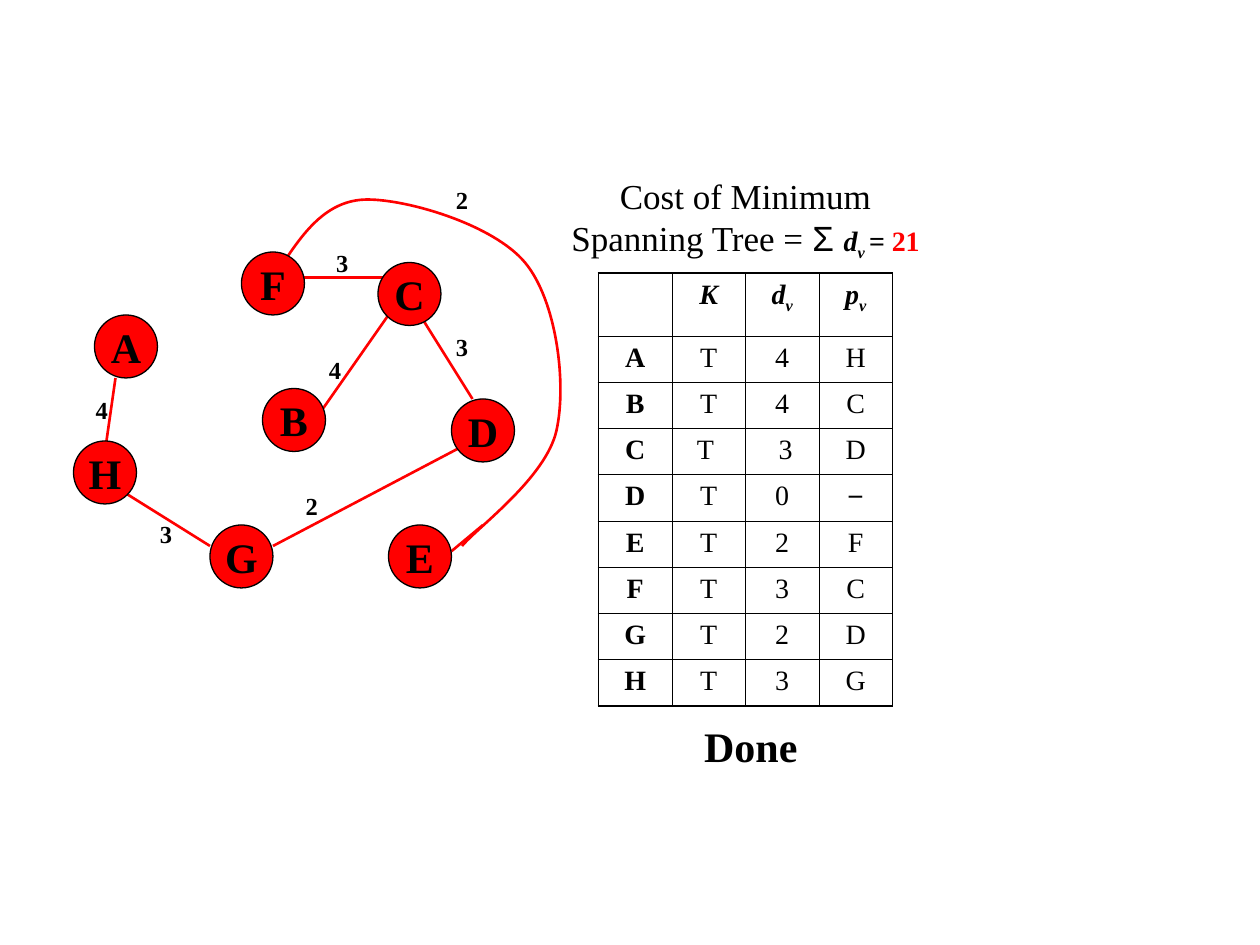
from dataclasses import dataclass
from itertools import product

from pptx import Presentation
from pptx.dml.color import RGBColor
from pptx.enum.shapes import MSO_CONNECTOR, MSO_SHAPE
from pptx.enum.text import MSO_ANCHOR, MSO_AUTO_SIZE, PP_ALIGN
from pptx.oxml.ns import qn
from pptx.util import Pt
from lxml.etree import SubElement

PX = 7620  # EMU in one px, at 120 px to the inch
COLORS = {"red": "FF0000", "black": "000000"}
SERIF, SANS = "Times New Roman", "Arial"
NODE_SIZE = 60
LABEL_WIDTH, LABEL_HEIGHT = 40, 41
COLUMN_WIDTH, HEADER_HEIGHT, ROW_HEIGHT = 70, 60, 44
INNER_BORDER, OUTER_BORDER = 0.45, 1.08


@dataclass(frozen=True)
class Span:
    text: str
    size: int
    bold: bool = False
    italic: bool = False
    subscript: bool = False
    font: str = SERIF
    color: str = "black"


@dataclass(frozen=True)
class Label:
    text: str
    left: int
    top: int


@dataclass(frozen=True)
class Edge:
    start: tuple[int, int]
    end: tuple[int, int]


NODES = [
    Label("A", 90, 300), Label("H", 70, 420), Label("B", 250, 370),
    Label("F", 230, 240), Label("E", 370, 500), Label("D", 430, 380),
    Label("C", 360, 250), Label("G", 200, 500),
]
EDGES = [
    Edge((300, 400), (370, 300)),  # B to C
    Edge((260, 520), (450, 420)),  # G to D
    Edge((100, 430), (110, 360)),  # H to A
    Edge((285, 264), (380, 264)),  # F to C
    Edge((400, 300), (450, 380)),  # C to D
    Edge((200, 520), (120, 470)),  # G to H
    Edge((460, 500), (430, 525)),  # end of the curve to E
]
WEIGHTS = [
    Label("4", 77, 370), Label("2", 277, 462), Label("3", 420, 310),
    Label("4", 299, 332), Label("3", 306, 230), Label("3", 138, 488),
    Label("2", 420, 170),
]
# Start point, then two control points and an end point for each segment
CURVE_F_TO_E = [
    (270, 250),
    (290, 220), (312, 190), (350, 190),
    (389, 190), (470, 214), (500, 250),
    (530, 286), (540, 365), (530, 410),
    (520, 455), (455, 502), (440, 520),
]
COST = [
    Span("Cost of Minimum Spanning Tree = ", 20),
    Span("Σ ", 20, font=SANS),
    Span("d", 16, bold=True, italic=True),
    Span("v ", 16, bold=True, italic=True, subscript=True),
    Span("= ", 16, bold=True, italic=True),
    Span("21", 16, bold=True, color="red"),
]
HEADERS = ["", "K", "dv", "pv"]
ROWS = [
    ["A", "T", "4", "H"],
    ["B", "T", "4", "C"],
    ["C", "T ", " 3", "D"],
    ["D", "T", "0", "−"],
    ["E", "T", "2", "F"],
    ["F", "T", "3", "C"],
    ["G", "T", "2", "D"],
    ["H", "T", "3", "G"],
]


def rgb(name: str) -> RGBColor:
    return RGBColor.from_string(COLORS[name])


def px(*lengths: int) -> list[int]:
    return [length * PX for length in lengths]


def write(text_frame, spans: list[Span], space_before: float) -> None:
    paragraph = text_frame.paragraphs[0]
    paragraph.alignment = PP_ALIGN.CENTER
    paragraph.space_before = Pt(space_before)
    for span in spans:
        run = paragraph.add_run()
        run.text = span.text
        font = run.font
        font.name, font.size = span.font, Pt(span.size)
        font.bold, font.italic = span.bold, span.italic
        font.color.rgb = rgb(span.color)
        if span.subscript:
            run._r.get_or_add_rPr().set("baseline", "-25000")


def add_text(slide, box: tuple[int, int, int, int], spans: list[Span], space_before: float) -> None:
    text_frame = slide.shapes.add_textbox(*px(*box)).text_frame
    text_frame.word_wrap = True
    text_frame.auto_size = MSO_AUTO_SIZE.SHAPE_TO_FIT_TEXT
    write(text_frame, spans, space_before)


def style_line(line) -> None:
    line.color.rgb = rgb("red")
    line.width = Pt(1.5)


def add_curve(slide, points: list[tuple[int, int]]) -> None:
    """Draw a freeform whose vertices are then grouped into cubic segments."""
    builder = slide.shapes.build_freeform(*points[0], scale=PX)
    builder.add_line_segments(points[1:], close=False)
    shape = builder.convert_to_shape()
    shape.shadow.inherit = False
    shape.fill.background()
    style_line(shape.line)
    outline = shape._element.find(".//" + qn("a:path"))
    vertices = outline.findall(qn("a:lnTo"))
    for first in range(0, len(vertices), 3):
        segment = SubElement(outline, qn("a:cubicBezTo"))
        for vertex in vertices[first:first + 3]:
            segment.append(vertex[0])
            outline.remove(vertex)


def add_edge(slide, edge: Edge) -> None:
    connector = slide.shapes.add_connector(MSO_CONNECTOR.STRAIGHT, *px(*edge.start, *edge.end))
    style_line(connector.line)
    SubElement(connector._element.spPr, qn("a:effectLst"))


def add_node(slide, node: Label) -> None:
    shape = slide.shapes.add_shape(MSO_SHAPE.OVAL, *px(node.left, node.top, NODE_SIZE, NODE_SIZE))
    shape.shadow.inherit = False
    shape.fill.solid()
    shape.fill.fore_color.rgb = rgb("red")
    shape.line.color.rgb = rgb("black")
    shape.line.width = Pt(0.75)
    shape.text_frame.word_wrap = False
    shape.text_frame.vertical_anchor = MSO_ANCHOR.MIDDLE
    write(shape.text_frame, [Span(node.text, 24, bold=True)], 6)


def set_borders(cell, outer_sides: dict[str, bool]) -> None:
    properties = cell._tc.get_or_add_tcPr()
    for side, outer in outer_sides.items():
        width = Pt(OUTER_BORDER if outer else INNER_BORDER)
        line = SubElement(properties, qn(f"a:ln{side}"), w=str(width))
        fill = SubElement(line, qn("a:solidFill"))
        SubElement(fill, qn("a:srgbClr"), val=COLORS["black"])


def cell_spans(text: str, row: int, column: int) -> list[Span]:
    if row == 0:
        return [Span(letter, 16, bold=True, italic=True, subscript=letter == "v") for letter in text]
    return [Span(text, 16, bold=column == 0, font=SANS if text == "−" else SERIF)]


def add_cost_table(slide, left: int, top: int) -> None:
    values = [HEADERS, *ROWS]
    row_count, column_count = len(values), len(HEADERS)
    width, height = column_count * COLUMN_WIDTH, HEADER_HEIGHT + len(ROWS) * ROW_HEIGHT
    table = slide.shapes.add_table(row_count, column_count, *px(left, top, width, height)).table
    table.first_row = table.horz_banding = False
    for column in table.columns:
        column.width = COLUMN_WIDTH * PX
    for index, row in enumerate(table.rows):
        row.height = (ROW_HEIGHT if index else HEADER_HEIGHT) * PX
    for row, column in product(range(row_count), range(column_count)):
        cell = table.cell(row, column)
        write(cell.text_frame, cell_spans(values[row][column], row, column), 4)
        set_borders(cell, {"L": column == 0, "R": column == column_count - 1,
                           "T": row == 0, "B": row == row_count - 1})
        cell.fill.background()


def main() -> None:
    presentation = Presentation()
    presentation.slide_width, presentation.slide_height = px(1200, 900)
    slide = presentation.slides.add_slide(presentation.slide_layouts[6])
    add_curve(slide, CURVE_F_TO_E)
    for edge in EDGES:
        add_edge(slide, edge)
    for node in NODES:
        add_node(slide, node)
    for weight in WEIGHTS:
        box = (weight.left, weight.top, LABEL_WIDTH, LABEL_HEIGHT)
        add_text(slide, box, [Span(weight.text, 14, bold=True)], 8.7)
    add_text(slide, (520, 160, 380, 96), COST, 10)
    add_cost_table(slide, 570, 260)
    add_text(slide, (595, 680, 240, 60), [Span("Done", 24, bold=True)], 15)
    presentation.save("out.pptx")


if __name__ == "__main__":
    main()
